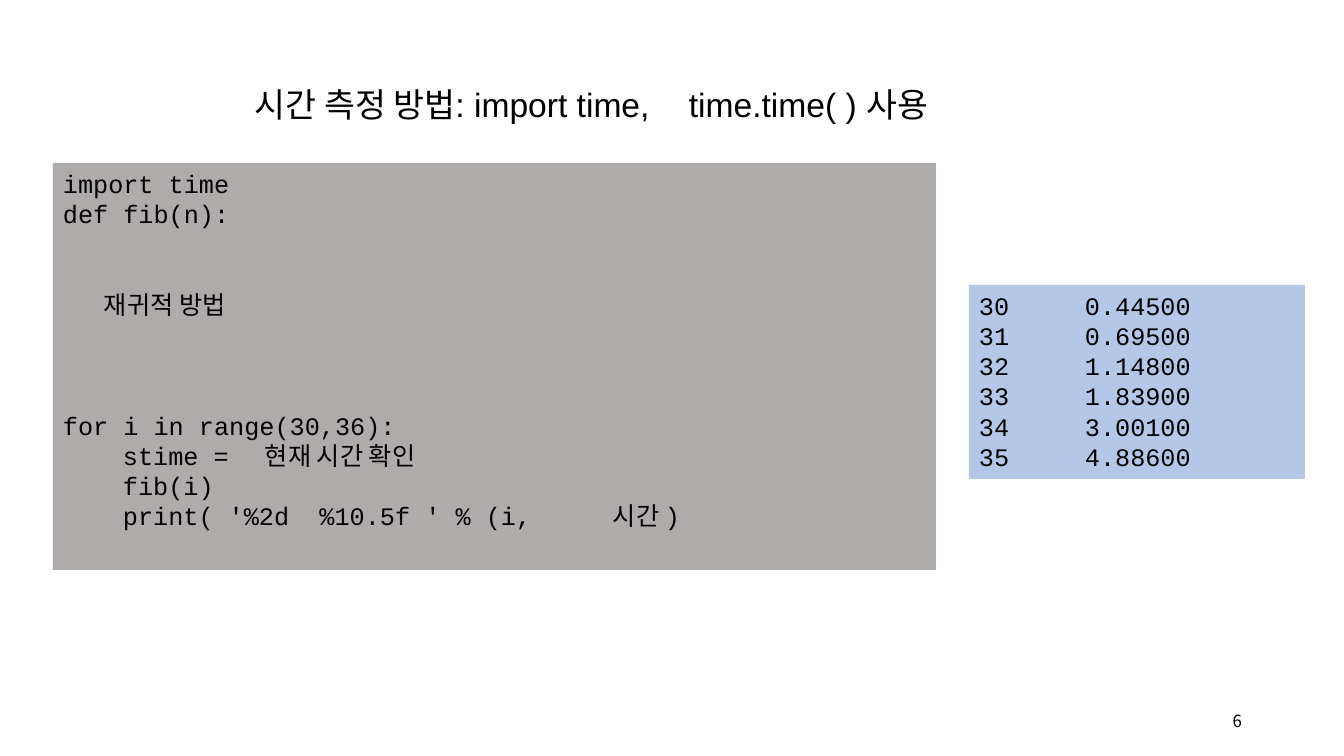
from lxml.etree import SubElement
from pptx import Presentation
from pptx.dml.color import RGBColor
from pptx.enum.shapes import MSO_SHAPE as Shape
from pptx.enum.text import MSO_ANCHOR as Anchor, PP_ALIGN as Align
from pptx.oxml.ns import qn
from pptx.util import Emu, Pt

EMU_PER_PIXEL = 914400 / 100.8
KOREAN_FONT = "Noto Sans CJK KR"
CODE_LINE = 21.6
CODE_TABS = (60, 202, 550)

# Each line: text, blank lines above it, tab stops
CODE_LINES = [
    ("import time", 0, ()),
    ("def fib(n):", 0, ()),
    ("\t재귀적 방법", 2, (41,)),
    ("for i in range(30,36):", 3, ()),
    ("\tstime =\t현재 시간 확인", 0, CODE_TABS),
    ("\tfib(i)", 0, CODE_TABS),
    ("\tprint( '%2d  %10.5f ' % (i,\t시간 )", 0, CODE_TABS),
]
TIMINGS = ["0.44500", "0.69500", "1.14800", "1.83900", "3.00100", "4.88600"]


def px(pixels):
    """Turn pixels into EMU."""
    return Emu(round(pixels * EMU_PER_PIXEL))


def color(hex_text):
    """Turn a hex string into a colour."""
    return RGBColor.from_string(hex_text)


def add_text(paragraph, text, font="Courier New", size=18, align=Align.LEFT,
             line_spacing=None, space_before=0, tabs=()):
    """Write one formatted run into a paragraph, with tab stops in pixels."""
    paragraph.alignment = align
    paragraph.space_before = Pt(space_before)
    if line_spacing:
        paragraph.line_spacing = line_spacing
    if tabs:
        tab_list = SubElement(paragraph._p.get_or_add_pPr(), qn("a:tabLst"))
        for tab in tabs:
            SubElement(tab_list, qn("a:tab"), pos=str(px(tab)), algn="l")
    run = paragraph.add_run()
    run.text = text
    run.font.name = font
    run.font.size = Pt(size)
    run.font.color.rgb = color("000000")
    SubElement(run._r.get_or_add_rPr(), qn("a:ea"), typeface=KOREAN_FONT)


def add_label(slide, box, text, anchor=Anchor.TOP, **text_format):
    """Add a text box with one line of text."""
    frame = slide.shapes.add_textbox(*map(px, box)).text_frame
    frame.word_wrap = True
    frame.vertical_anchor = anchor
    add_text(frame.paragraphs[0], text, **text_format)


def add_code_panel(slide, box, fill, lines):
    """Add a filled rectangle with lines of monospaced text."""
    panel = slide.shapes.add_shape(Shape.RECTANGLE, *map(px, box))
    panel.shadow.inherit = False
    panel.fill.solid()
    panel.fill.fore_color.rgb = color(fill)
    panel.line.fill.background()
    frame = panel.text_frame
    frame.word_wrap = True
    frame.vertical_anchor = Anchor.TOP
    for index, (text, blank_lines, tabs) in enumerate(lines):
        paragraph = frame.add_paragraph() if index else frame.paragraphs[0]
        add_text(paragraph, text, line_spacing=Pt(CODE_LINE),
                 space_before=blank_lines * CODE_LINE, tabs=tabs)


def main():
    """Build the slide and save it."""
    presentation = Presentation()
    presentation.slide_width, presentation.slide_height = px(1344), px(756)
    slide = presentation.slides.add_slide(presentation.slide_layouts[6])

    add_label(slide, (950, 701, 302, 40), "6", anchor=Anchor.MIDDLE,
              font=KOREAN_FONT, size=12, align=Align.RIGHT)
    add_code_panel(slide, (53, 163, 883, 407), "AFABAB", CODE_LINES)
    timing_lines = [(f"{number}\t{seconds}", 0, (106,))
                    for number, seconds in enumerate(TIMINGS, start=30)]
    add_code_panel(slide, (969, 285, 336, 194), "B4C7E7", timing_lines)
    add_label(slide, (245, 59, 714, 72),
              "시간 측정 방법: import time,\ttime.time( ) 사용",
              font="Arial", size=24, line_spacing=1.5, tabs=(434,))

    presentation.save("out.pptx")


main()
